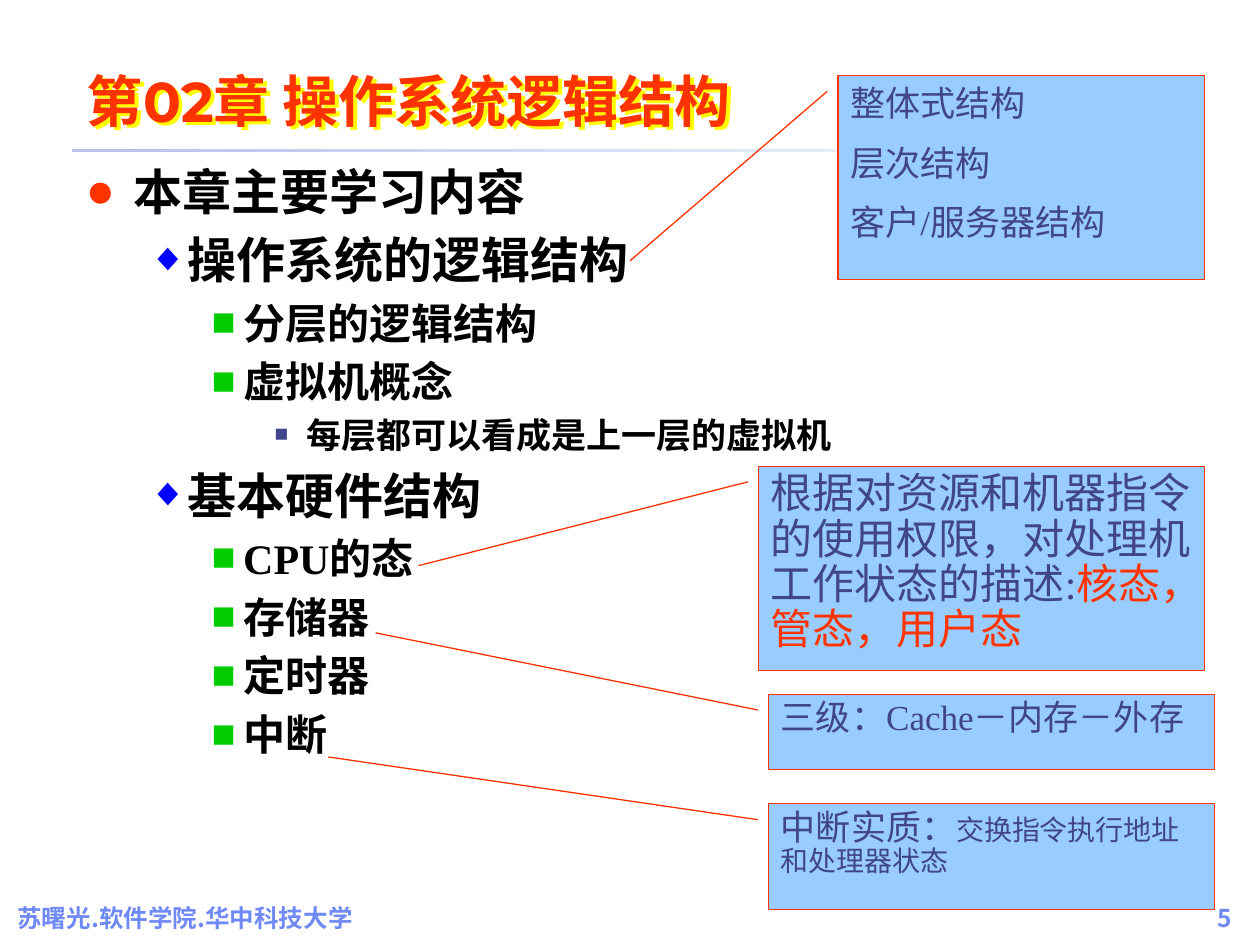
from dataclasses import dataclass

from lxml import etree
from pptx import Presentation
from pptx.dml.color import RGBColor
from pptx.enum.shapes import MSO_SHAPE
from pptx.enum.text import MSO_ANCHOR, MSO_AUTO_SIZE, PP_ALIGN
from pptx.oxml.ns import qn
from pptx.util import Inches, Pt

RECT, CALLOUT = MSO_SHAPE.RECTANGLE, MSO_SHAPE.LINE_CALLOUT_1
TOP, BOTTOM = MSO_ANCHOR.TOP, MSO_ANCHOR.BOTTOM
LEFT, RIGHT = PP_ALIGN.LEFT, PP_ALIGN.RIGHT
NO_FIT = MSO_AUTO_SIZE.NONE


@dataclass(frozen=True)
class Theme:
    """Colours, fonts and type sizes of the slide."""
    red: str = "FF3300"
    black: str = "000000"
    blue: str = "0000FF"
    green: str = "00CC00"
    navy: str = "40458C"
    sky: str = "99CCFF"
    foot: str = "6F89F7"
    glow: str = "FFFF00"
    fade: tuple = ("B7C1EB", "FFFFFF")
    serif: str = "Times New Roman"
    sans: str = "Noto Sans CJK SC"
    head: str = "Montserrat"
    title: int = 32
    big: int = 28
    mid: int = 24
    note: int = 20
    small: int = 16
    tiny: int = 14


THEME = Theme()


@dataclass(frozen=True)
class Level:
    """Look of one outline level."""
    mark: str
    color: str
    scale: int
    left: float
    hang: float
    size: int


@dataclass(frozen=True)
class Run:
    """A piece of text with its own format."""
    text: str
    size: int = THEME.note
    color: str = THEME.navy


@dataclass(frozen=True)
class Note:
    """A callout: box, line ends and paragraphs."""
    box: tuple
    ends: tuple
    paras: tuple
    before: int = 20
    lines: float = 0.9


LEVELS = (
    Level("●", THEME.red, 100, 0.38, 0.38, THEME.big),
    Level("◆", THEME.blue, 80, 0.81, 0.31, THEME.big),
    Level("■", THEME.green, 95, 1.25, 0.25, THEME.mid),
    Level("■", THEME.navy, 65, 1.75, 0.25, THEME.note),
)

ITEMS = (
    (0, "本章主要学习内容"),
    (1, "操作系统的逻辑结构"),
    (2, "分层的逻辑结构"),
    (2, "虚拟机概念"),
    (3, "每层都可以看成是上一层的虚拟机"),
    (1, "基本硬件结构"),
    (2, "CPU的态"),
    (2, "存储器"),
    (2, "定时器"),
    (2, "中断"),
)

NOTES = (
    Note((6.65, 0.6, 2.91, 1.62), (0.077, -0.029, 0.907, -0.567),
         ((Run("整体式结构"),), (Run("层次结构"),), (Run("客户/服务器结构"),)),
         before=50, lines=1.0),
    Note((6.02, 3.7, 3.54, 1.62), (0.077, -0.024, 0.487, -0.762),
         ((Run("根据对资源和机器指令的使用权限，对处理机工作状态的描述:", THEME.mid),
           Run("核态，管态，用户态", THEME.mid, THEME.red)),)),
    Note((6.1, 5.51, 3.54, 0.6), (0.209, -0.024, -0.812, -0.881),
         ((Run("三级：Cache－内存－外存"),),)),
    Note((6.1, 6.38, 3.54, 0.84), (0.15, -0.024, -0.443, -0.987),
         ((Run("中断实质："), Run("交换指令执行地址和处理器状态", THEME.small)),)),
)


def rgb(code: str) -> RGBColor:
    """Turn a hex code into a colour."""
    return RGBColor.from_string(code)


def sub(node, tag: str, **attrs):
    """Append a child element with attributes."""
    return etree.SubElement(node, qn(tag), {k: str(v) for k, v in attrs.items()})


def put(para, text: str, *, size: int, color: str, font: str = THEME.serif,
        bold: bool = False) -> None:
    """Add formatted text to a paragraph."""
    run = para.add_run()
    run.text = text
    run.font.size, run.font.bold, run.font.name = Pt(size), bold, font
    run.font.color.rgb = rgb(color)
    sub(run.font._element, "a:ea", typeface=THEME.sans)


def space(para, before: int, lines: float = 1.0):
    """Set line spacing and the gap before, in percent; return the pPr."""
    para.alignment = LEFT
    para.line_spacing = lines
    props = para._p.get_or_add_pPr()
    sub(sub(props, "a:spcBef"), "a:spcPct", val=before * 1000)
    return props


def place(shape, box: tuple, anchor=TOP):
    """Move a shape and return its prepared text frame."""
    shape.left, shape.top, shape.width, shape.height = map(Inches, box)
    frame = shape.text_frame
    frame.word_wrap, frame.auto_size = True, NO_FIT
    frame.vertical_anchor = anchor
    return frame


def paras(frame, count: int) -> list:
    """Return the given number of paragraphs of a frame."""
    return [frame.paragraphs[0]] + [frame.add_paragraph() for _ in range(count - 1)]


def draw_rule(slide) -> None:
    """Draw the fading rule under the title."""
    rule = slide.shapes.add_shape(RECT, *map(Inches, (0.57, 1.18, 9, 0.03)))
    rule.shadow.inherit = False
    rule.line.fill.background()
    rule.fill.gradient()
    rule.fill.gradient_angle = 0
    for stop, code, at in zip(rule.fill.gradient_stops, THEME.fade, (0, 1)):
        stop.color.rgb, stop.position = rgb(code), at


def draw_title(slide) -> None:
    """Fill the title and give it a yellow shadow."""
    title = slide.shapes.title
    para = place(title, (0.59, 0.36, 7.4, 0.75), BOTTOM).paragraphs[0]
    para.alignment = LEFT
    put(para, "第02章 操作系统逻辑结构", size=THEME.title, color=THEME.red,
        font=THEME.head, bold=True)
    cast = sub(sub(title._element.spPr, "a:effectLst"), "a:outerShdw",
               dist=Inches(0.04), dir=2700000, algn="ctr", rotWithShape=0)
    sub(cast, "a:srgbClr", val=THEME.glow)


def draw_list(slide) -> None:
    """Fill the body with the outline."""
    frame = place(slide.placeholders[1], (0.58, 1.23, 9, 5.51))
    for para, (depth, text) in zip(paras(frame, len(ITEMS)), ITEMS):
        level = LEVELS[depth]
        para.level = depth
        props = space(para, 20)
        props.set("marL", str(Inches(level.left)))
        props.set("indent", str(-Inches(level.hang)))
        sub(sub(props, "a:buClr"), "a:srgbClr", val=level.color)
        sub(props, "a:buSzPct", val=level.scale * 1000)
        sub(props, "a:buFont", typeface=THEME.serif)
        sub(props, "a:buChar", char=level.mark)
        font = THEME.sans if depth == 3 else THEME.serif
        put(para, text, size=level.size, color=THEME.black, font=font, bold=True)


def draw_note(slide, note: Note) -> None:
    """Draw one callout with its line."""
    shape = slide.shapes.add_shape(CALLOUT, *map(Inches, note.box))
    shape.shadow.inherit = False
    for i, end in enumerate(note.ends):
        shape.adjustments[i] = end
    shape.fill.solid()
    shape.fill.fore_color.rgb = rgb(THEME.sky)
    shape.line.color.rgb, shape.line.width = rgb(THEME.red), Pt(0.75)
    frame = place(shape, note.box)
    for para, runs in zip(paras(frame, len(note.paras)), note.paras):
        space(para, note.before, note.lines)
        for run in runs:
            put(para, run.text, size=run.size, color=run.color)


def draw_foot(slide, text: str, box: tuple, align) -> None:
    """Draw one footer text."""
    shape = slide.shapes.add_textbox(*map(Inches, box))
    para = place(shape, box, BOTTOM).paragraphs[0]
    para.alignment = align
    put(para, text, size=THEME.tiny, color=THEME.foot, font=THEME.sans, bold=True)


def main() -> None:
    """Build and save the slide."""
    deck = Presentation()
    deck.slide_width, deck.slide_height = Inches(10), Inches(7.5)
    slide = deck.slides.add_slide(deck.slide_layouts[1])
    draw_rule(slide)
    draw_foot(slide, "苏曙光.软件学院.华中科技大学", (0.04, 6.95, 4.67, 0.5), LEFT)
    draw_foot(slide, "5", (8.78, 6.95, 1.1, 0.5), RIGHT)
    draw_title(slide)
    draw_list(slide)
    for note in NOTES:
        draw_note(slide, note)
    deck.save("out.pptx")


main()
